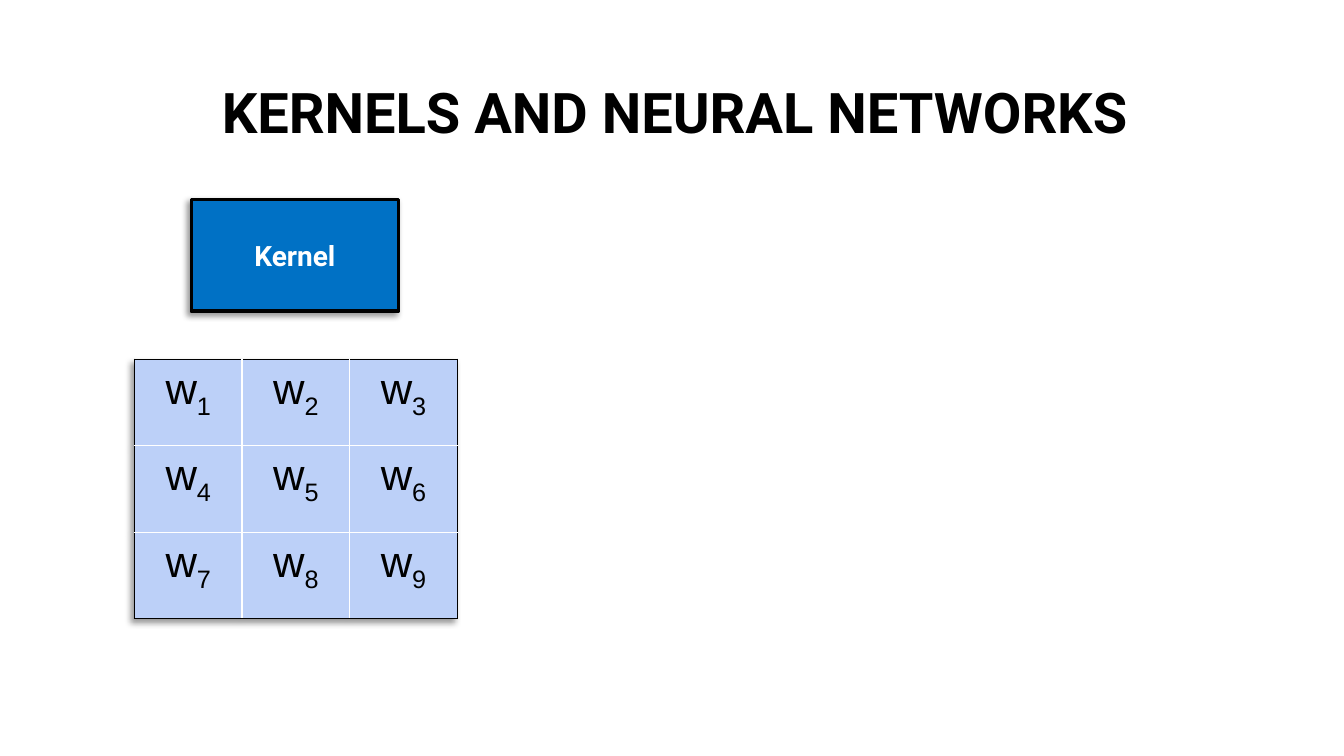
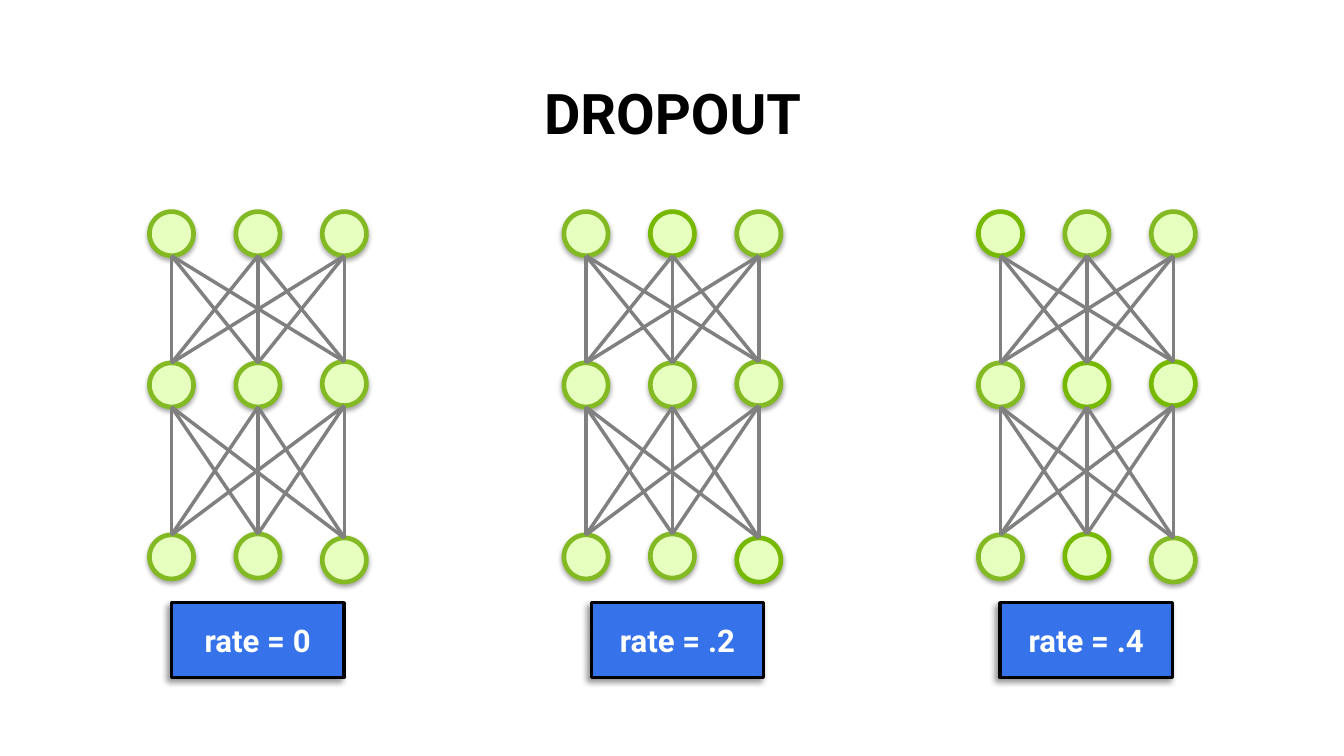
from itertools import product

from lxml import etree
from pptx import Presentation
from pptx.dml.color import RGBColor
from pptx.enum.shapes import MSO_CONNECTOR, MSO_SHAPE
from pptx.enum.text import MSO_ANCHOR, PP_ALIGN
from pptx.oxml.ns import qn
from pptx.util import Cm, Pt

RECT, OVAL = MSO_SHAPE.RECTANGLE, MSO_SHAPE.OVAL
STRAIGHT = MSO_CONNECTOR.STRAIGHT
CENTER = PP_ALIGN.CENTER
MIDDLE, BOTTOM = MSO_ANCHOR.MIDDLE, MSO_ANCHOR.BOTTOM

BLACK = RGBColor(0x00, 0x00, 0x00)
WHITE = RGBColor(0xFF, 0xFF, 0xFF)
GRAY = RGBColor(0x80, 0x80, 0x80)
KERNEL_BLUE = RGBColor(0x00, 0x71, 0xC5)
RATE_BLUE = RGBColor(0x36, 0x73, 0xEB)
CELL_BLUE = RGBColor(0xBC, 0xD0, 0xF8)
NODE_FILL = RGBColor(0xE7, 0xFF, 0xBE)
NODE_GREEN = RGBColor(0x83, 0xBA, 0x24)
STRONG_GREEN = RGBColor(0x76, 0xB9, 0x00)

HEADING_FONT, CELL_FONT = "Roboto", "Arial"
BOX_SHADOW = (40, 4, 3, 135)
NODE_SHADOW = (34, 3.1, 1.8, 90)

NODE = 1.0
NODE_PITCH = 1.96
NETWORK_PITCH = 9.4
LAYER_TOPS = [(4.8, 4.8, 4.8), (8.23, 8.23, 8.2), (12.13, 12.11, 12.2)]
NETWORKS = [
    ("rate = 0", 3.89, set()),
    ("rate = .2", 13.41, {(0, 1), (2, 2)}),
    ("rate = .4", 22.68, {(0, 0), (1, 1), (1, 2), (2, 1)}),
]


def add_slide(prs):
    return prs.slides.add_slide(prs.slide_layouts[6])


def style(p, size, color, font=HEADING_FONT, bold=True):
    p.alignment = CENTER
    p.font.size = Pt(size)
    p.font.name = font
    p.font.bold = bold
    p.font.color.rgb = color


def add_shadow(effects, alpha, blur, dist, angle):
    shadow = etree.SubElement(
        effects, qn("a:outerShdw"), blurRad=str(Pt(blur)), dist=str(Pt(dist)),
        dir=str(angle * 60000), algn="ctr", rotWithShape="0")
    color = etree.SubElement(shadow, qn("a:srgbClr"), val=str(BLACK))
    etree.SubElement(color, qn("a:alpha"), val=str(alpha * 1000))


def add_title(s, text, left, top):
    tf = s.shapes.add_textbox(Cm(left), Cm(top), Cm(27.71), Cm(1.65)).text_frame
    tf.word_wrap = True
    tf.vertical_anchor = BOTTOM
    p = tf.paragraphs[0]
    p.text = text
    p.line_spacing = 0.9
    style(p, 36, BLACK)


def add_shape(s, kind, box, fill, line, width, shadow):
    sp = s.shapes.add_shape(kind, *map(Cm, box))
    sp.shadow.inherit = False
    sp.fill.solid()
    sp.fill.fore_color.rgb = fill
    sp.line.color.rgb = line
    sp.line.width = Pt(width)
    add_shadow(sp._element.spPr.find(qn("a:effectLst")), *shadow)
    return sp


def add_label_box(s, text, box, fill, size):
    tf = add_shape(s, RECT, box, fill, BLACK, 2.25, BOX_SHADOW).text_frame
    tf.vertical_anchor = MIDDLE
    p = tf.paragraphs[0]
    p.text = text
    style(p, size, WHITE)


def add_border(cell, side, color):
    line = etree.SubElement(cell._tc.get_or_add_tcPr(), qn("a:ln" + side), w=str(Pt(1)))
    fill = etree.SubElement(line, qn("a:solidFill"))
    etree.SubElement(fill, qn("a:srgbClr"), val=str(color))


def fill_weight_cell(cell, row, col, n):
    outer = {"L": col == 0, "R": col == n - 1, "T": row == 0, "B": row == n - 1}
    for side, is_outer in outer.items():
        add_border(cell, side, BLACK if is_outer else WHITE)
    cell.fill.solid()
    cell.fill.fore_color.rgb = CELL_BLUE
    p = cell.text_frame.paragraphs[0]
    style(p, 28, BLACK, CELL_FONT, False)
    p.add_run().text = "w"
    r = p.add_run()
    r.text = str(row * n + col + 1)
    r._r.get_or_add_rPr().set("baseline", "-25000")


def add_weight_table(s, left, top, width, height, n=3):
    table = s.shapes.add_table(n, n, *map(Cm, (left, top, width, height))).table
    table.first_row = False
    table.horz_banding = False
    effects = etree.Element(qn("a:effectLst"))
    add_shadow(effects, *BOX_SHADOW)
    table._tbl.tblPr.insert(0, effects)
    for row, col in product(range(n), repeat=2):
        fill_weight_cell(table.cell(row, col), row, col, n)


def add_link(s, x1, y1, x2, y2):
    link = s.shapes.add_connector(STRAIGHT, *map(Cm, (x1, y1, x2, y2)))
    link.line.color.rgb = GRAY
    link.line.width = Pt(2.25)
    etree.SubElement(link._element.spPr, qn("a:effectLst"))


def add_network(s, first_x, strong_nodes):
    xs = [first_x + col * NODE_PITCH for col in range(3)]
    for row, tops in enumerate(LAYER_TOPS):
        for col, (x, top) in enumerate(zip(xs, tops)):
            line = STRONG_GREEN if (row, col) in strong_nodes else NODE_GREEN
            add_shape(s, OVAL, (x - NODE / 2, top, NODE, NODE),
                      NODE_FILL, line, 3, NODE_SHADOW)
    for upper, lower in zip(LAYER_TOPS, LAYER_TOPS[1:]):
        for (x1, y1), (x2, y2) in product(zip(xs, upper), zip(xs, lower)):
            add_link(s, x1, y1 + NODE, x2, y2)


def build_kernel_slide(prs):
    s = add_slide(prs)
    add_title(s, "KERNELS AND NEURAL NETWORKS", 1.45, 1.78)
    add_weight_table(s, 3.05, 8.15, 7.32, 5.88)
    add_label_box(s, "Kernel", (4.34, 4.52, 4.7, 2.54), KERNEL_BLUE, 18)


def build_dropout_slide(prs):
    s = add_slide(prs)
    add_title(s, "DROPOUT", 1.4, 1.8)
    for i, (rate, label_left, strong_nodes) in enumerate(NETWORKS):
        add_network(s, 3.89 + i * NETWORK_PITCH, strong_nodes)
        add_label_box(s, rate, (label_left, 13.67, 3.91, 1.7), RATE_BLUE, 20)


def main():
    prs = Presentation()
    prs.slide_width = Cm(30.48)
    prs.slide_height = prs.slide_width * 9 // 16
    build_kernel_slide(prs)
    build_dropout_slide(prs)
    prs.save("out.pptx")


if __name__ == "__main__":
    main()
